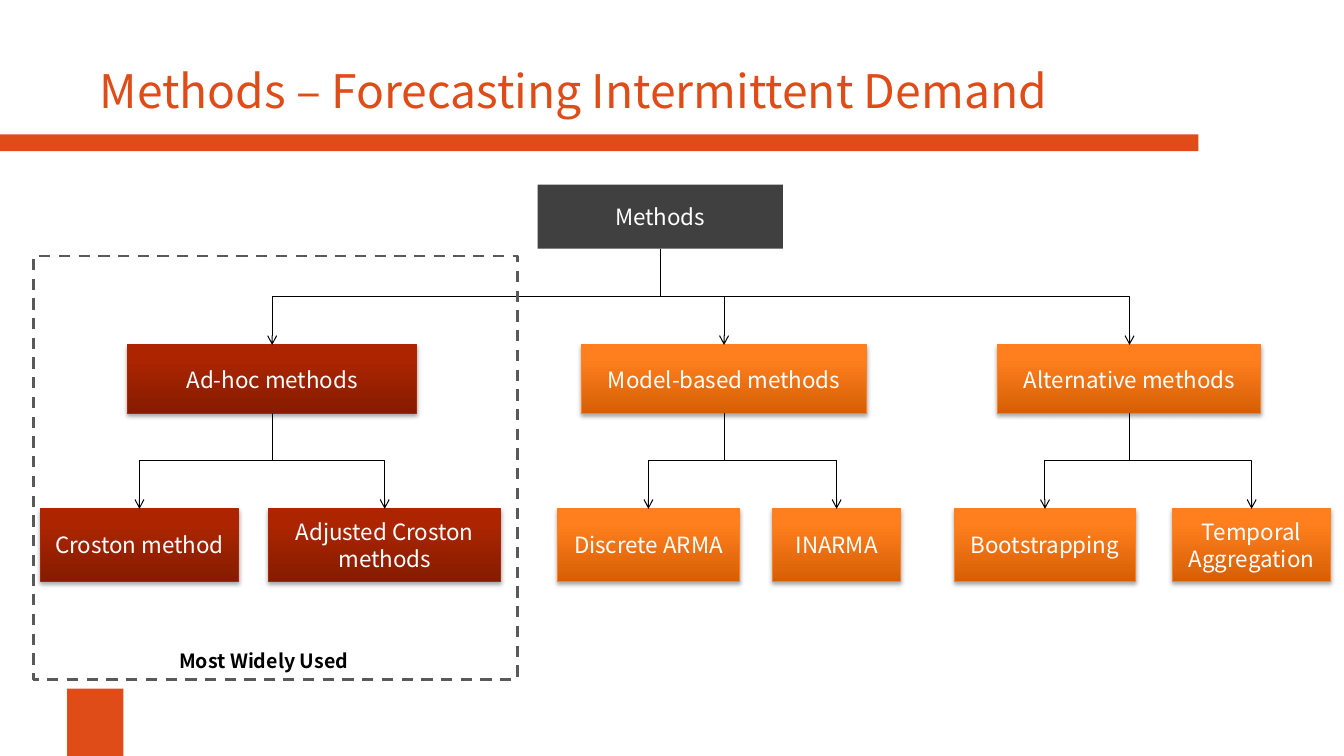
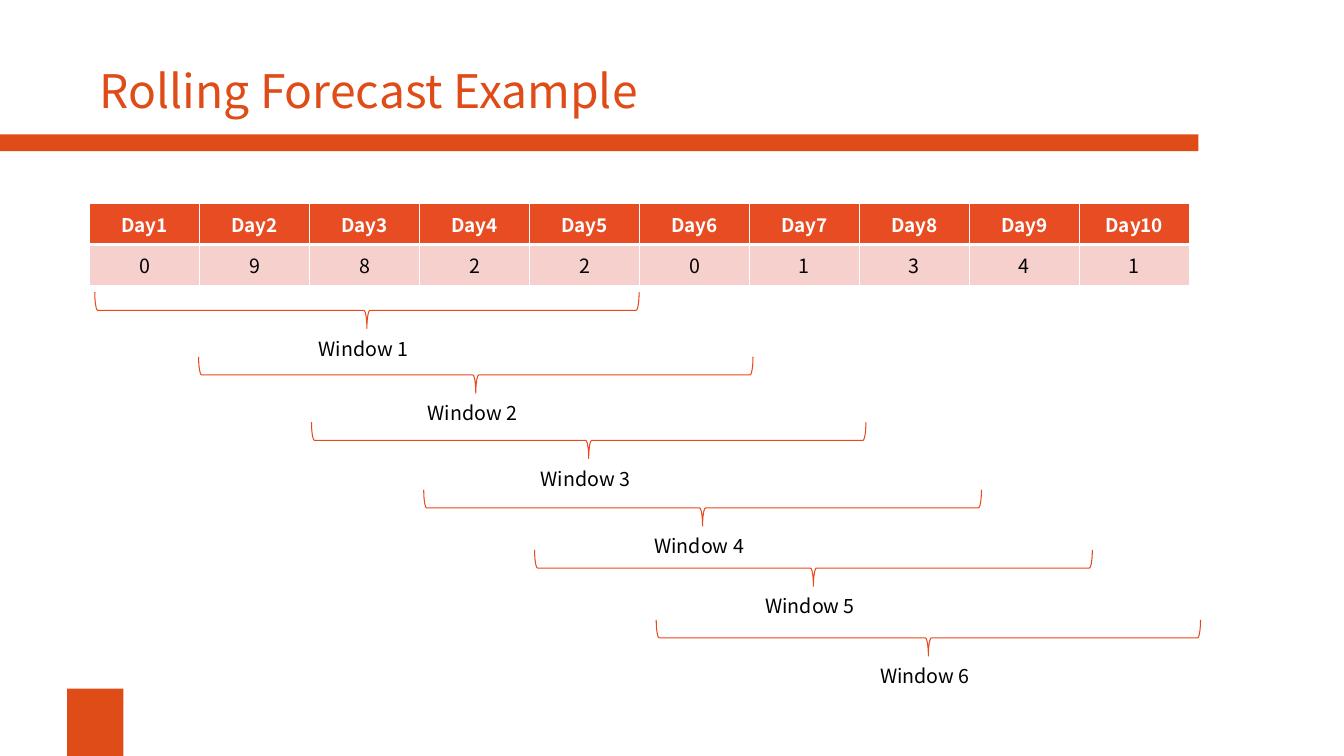
from lxml.etree import SubElement
from pptx import Presentation
from pptx.dml.color import RGBColor
from pptx.enum.dml import MSO_LINE
from pptx.enum.shapes import MSO_CONNECTOR, MSO_SHAPE
from pptx.enum.text import MSO_ANCHOR, PP_ALIGN
from pptx.oxml import parse_xml
from pptx.oxml.ns import nsdecls, qn
from pptx.util import Emu, Inches, Pt

FONT = "Noto Sans CJK SC"
BRAND, WHITE, BLACK = "DF4C18", "FFFFFF", "000000"
RED = ("851C00", "AC2500", "AE2500")  # bottom, top, outline
ORANGE = ("D65F05", "FF7F1E", "FF8021")
SHADE = (
    f'<a:outerShdw {nsdecls("a")} blurRad="40000" dist="23000" dir="5400000" rotWithShape="0">'
    '<a:srgbClr val="000000"><a:alpha val="35000"/></a:srgbClr></a:outerShdw>'
)

tint = RGBColor.from_string
deck = Presentation()
deck.slide_width, deck.slide_height = Inches(13.33), Inches(7.5)
UNIT = deck.slide_width / 40  # the slide is 40 columns by 22.5 rows


def grid(*cells):
    """Turn columns and rows into lengths."""
    return [Emu(round(n * UNIT)) for n in cells]


def style(frame, size, color, bold=False, align=PP_ALIGN.CENTER):
    frame.word_wrap = True
    for para in frame.paragraphs:
        para.alignment = align
        for run in para.runs:
            font = run.font
            font.name, font.size, font.bold = FONT, Pt(size), bold
            font.color.rgb = tint(color)


# Shared look: bands and title place live on the layout
layout = deck.slide_layouts.get_by_name("Title Only")
head = layout.placeholders[0]
head.left, head.top, head.width, head.height = grid(2.67, 0.8, 33, 3.75)

slides = []
for title in ("Methods – Forecasting Intermittent Demand", "Rolling Forecast Example"):
    slide = deck.slides.add_slide(layout)
    slide.shapes.title.text_frame.text = title
    slide.shapes.title.text_frame.vertical_anchor = MSO_ANCHOR.MIDDLE
    style(slide.shapes.title.text_frame, 33, BRAND, align=PP_ALIGN.LEFT)
    slides.append(slide)
tree, roll = (slide.shapes for slide in slides)

for cells in ((2, 20.5, 1.67, 2), (0, 4, 35.67, 0.5)):
    band = tree.add_shape(MSO_SHAPE.RECTANGLE, *grid(*cells))
    band.shadow.inherit = False
    band.fill.solid()
    band.fill.fore_color.rgb = tint(BRAND)
    band.line.fill.background()
    layout.shapes.element.insert(2, band.element)

# Slide 1: tree of methods
TIERS = ((5.5, 1.9), (10.27, 2.03), (15.15, 2.15))  # top, height
NODES = (  # name, parent, tier, left, width, colours
    ("Methods", None, 0, 16, 7.3, None),
    ("Ad-hoc methods", "Methods", 1, 3.8, 8.6, RED),
    ("Model-based methods", "Methods", 1, 17.3, 8.5, ORANGE),
    ("Alternative methods", "Methods", 1, 29.7, 7.83, ORANGE),
    ("Croston method", "Ad-hoc methods", 2, 1.2, 5.9, RED),
    ("Adjusted Croston methods", "Ad-hoc methods", 2, 8, 6.9, RED),
    ("Discrete ARMA", "Model-based methods", 2, 16.6, 5.4, ORANGE),
    ("INARMA", "Model-based methods", 2, 23, 3.8, ORANGE),
    ("Bootstrapping", "Alternative methods", 2, 28.4, 5.4, ORANGE),
    ("Temporal Aggregation", "Alternative methods", 2, 34.9, 4.7, ORANGE),
)
boxes = {}
for name, parent, tier, left, width, colors in NODES:
    top, height = TIERS[tier]
    box = tree.add_shape(MSO_SHAPE.RECTANGLE, *grid(left, top, width, height))
    box.shadow.inherit = False
    if colors:
        box.fill.gradient()
        box.fill.gradient_angle = 90
        for stop, place, color in zip(box.fill.gradient_stops, (0, 0.8), colors):
            stop.position = place
            stop.color.rgb = tint(color)
        box.line.color.rgb = tint(colors[2])
        box.line.width = Pt(0.75)
        box.element.spPr.find(qn("a:effectLst")).append(parse_xml(SHADE))
    else:
        box.fill.solid()
        box.fill.fore_color.rgb = tint("404040")
        box.line.fill.background()
    box.text_frame.text = name
    style(box.text_frame, 16, WHITE)
    boxes[name] = box

for name, parent, *rest in NODES[1:]:
    start, end = boxes[parent], boxes[name]
    link = tree.add_connector(MSO_CONNECTOR.ELBOW, 0, 0, 0, 0)
    link.begin_connect(start, 2)
    link.end_connect(end, 0)
    # Turn the elbow so that it leaves downwards
    x1, y1 = start.left + start.width // 2, start.top + start.height
    x2, y2 = end.left + end.width // 2, end.top
    right = x2 > x1
    link.width, link.height = Emu(y2 - y1), Emu(abs(x2 - x1))
    link.left = Emu((x1 + x2 - link.width) // 2)
    link.top = Emu((y1 + y2 - link.height) // 2)
    props = link.element.spPr
    turn = props.find(qn("a:xfrm"))
    turn.set("rot", "16200000" if right else "5400000")
    turn.set("flipH", "1" if right else "0")
    turn.set("flipV", "0")
    link.line.color.rgb = tint(BLACK)
    link.line.width = Pt(0.75)
    SubElement(props.find(qn("a:ln")), qn("a:tailEnd"), type="arrow")
    SubElement(props, qn("a:effectLst"))

note = tree.add_textbox(*grid(3.7, 19.17, 8.3, 1))
note.text_frame.text = "Most Widely Used"
style(note.text_frame, 14, BLACK, bold=True)

frame = tree.add_shape(MSO_SHAPE.RECTANGLE, *grid(1, 7.62, 14.4, 12.6))
frame.shadow.inherit = False
frame.fill.background()
frame.line.color.rgb = tint("595959")
frame.line.width = Pt(2)
frame.line.dash_style = MSO_LINE.DASH

# Slide 2: daily demand and the windows that roll over it
DEMAND = (0, 9, 8, 2, 2, 0, 1, 3, 4, 1)
ROWS = (  # texts, size, bold, font colour, fill, bottom border
    ([f"Day{day}" for day in range(1, 11)], 13.5, True, WHITE, "E84C22", 3),
    ([str(count) for count in DEMAND], 14, False, BLACK, "F6D0CD", 1),
)
table = roll.add_table(2, len(DEMAND), *grid(2.67, 6.06, 32.73, 2.43)).table
for r, (texts, size, bold, color, fill, base) in enumerate(ROWS):
    for c, text in enumerate(texts):
        cell = table.cell(r, c)
        cell.margin_left = cell.margin_right = cell.margin_top = Inches(0.01)
        cell.margin_bottom = 0
        cell.vertical_anchor = MSO_ANCHOR.MIDDLE
        cell.text_frame.text = text
        style(cell.text_frame, size, color, bold)
        props = cell._tc.get_or_add_tcPr()
        over = ROWS[0][5] if r else 1
        for side, width in (("L", 1), ("R", 1), ("T", over), ("B", base)):
            edge = SubElement(props, qn(f"a:ln{side}"), w=str(Pt(width)))
            SubElement(SubElement(edge, qn("a:solidFill")), qn("a:srgbClr"), val=WHITE)
        cell.fill.solid()
        cell.fill.fore_color.rgb = tint(fill)

DEPTH = 1.08
WINDOWS = (  # middle, top, length
    (10.92, 8.7, 16.2),
    (14.16, 10.62, 16.5),
    (17.52, 12.57, 16.5),
    (20.91, 14.58, 16.6),
    (24.21, 16.37, 16.6),
    (27.63, 18.45, 16.2),
)
for count, (mid, top, size) in enumerate(WINDOWS, 1):
    # The upright brace is turned about its centre
    brace = roll.add_shape(
        MSO_SHAPE.LEFT_BRACE,
        *grid(mid - DEPTH / 2, top + DEPTH / 2 - size / 2, DEPTH, size),
    )
    brace.rotation = 270
    brace.shadow.inherit = False
    brace.fill.background()
    brace.line.color.rgb = tint("E8481C")
    brace.line.width = Pt(0.75)
    label = roll.add_textbox(*grid(mid - 2.35, top + 1.17, 4.5, 1))
    label.text_frame.text = f"Window {count}"
    style(label.text_frame, 14, BLACK)

deck.save("out.pptx")
